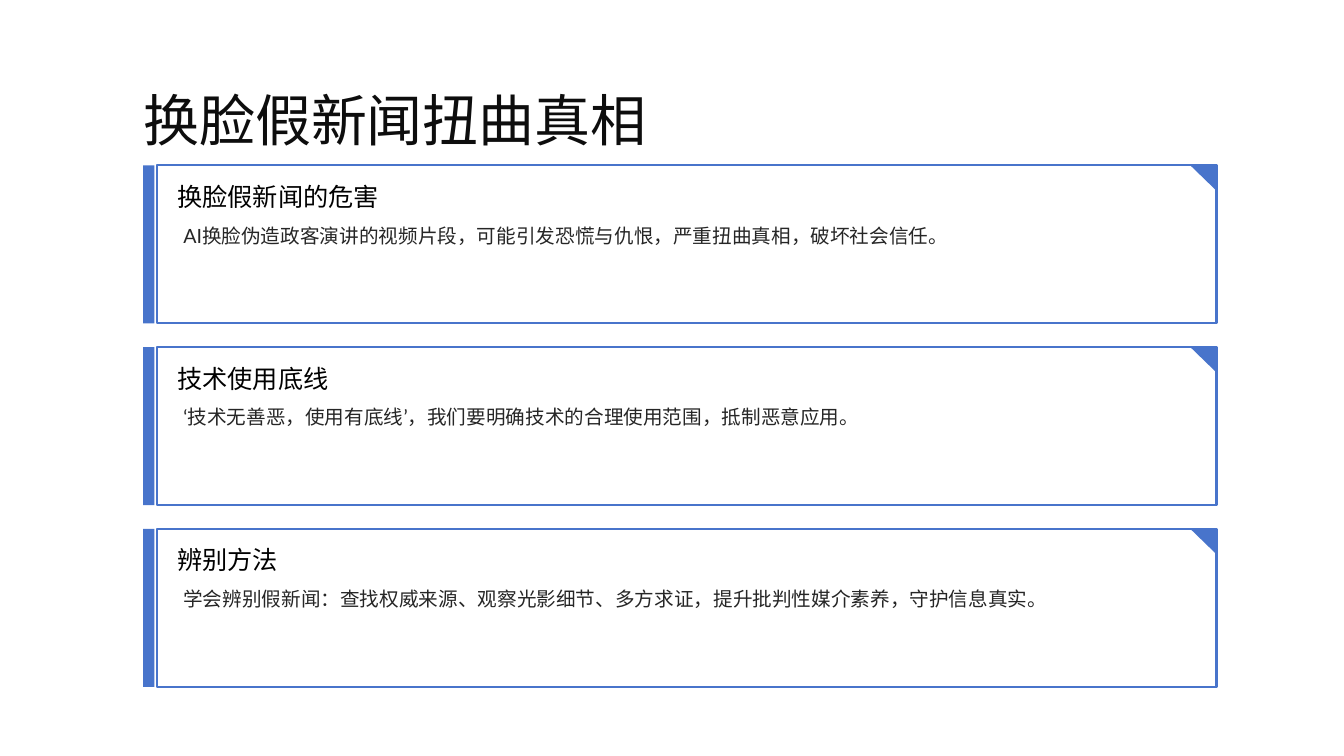
from lxml.etree import SubElement
from pptx import Presentation
from pptx.dml.color import RGBColor
from pptx.enum.lang import MSO_LANGUAGE_ID
from pptx.enum.shapes import MSO_SHAPE
from pptx.enum.text import MSO_AUTO_SIZE, PP_ALIGN
from pptx.oxml.ns import qn
from pptx.util import Cm, Pt

COLORS = {
    "accent": "4874CB",
    "paper": "FFFFFF",
    "title": "0D0D0D",
    "heading": "000000",
    "body": "262626",
}
CARDS = [
    ("换脸假新闻的危害",
     "AI换脸伪造政客演讲的视频片段，可能引发恐慌与仇恨，严重扭曲真相，破坏社会信任。"),
    ("技术使用底线",
     "‘技术无善恶，使用有底线’，我们要明确技术的合理使用范围，抵制恶意应用。"),
    ("辨别方法",
     "学会辨别假新闻：查找权威来源、观察光影细节、多方求证，提升批判性媒介素养，守护信息真实。"),
]
LEFT, RIGHT = 3.61, 30.66
FIRST_TOP, PITCH, CARD_HEIGHT = 4.17, 4.58, 3.98


def write(frame, text, size, color, font, align=None, spacing=None):
    paragraph = frame.paragraphs[0]
    paragraph.alignment = align
    paragraph.line_spacing = spacing
    run = paragraph.add_run()
    run.text = text
    run.font.size = Pt(size)
    run.font.color.rgb = RGBColor.from_string(COLORS[color])
    run.font.language_id = MSO_LANGUAGE_ID.SIMPLIFIED_CHINESE
    run.font.name = font
    SubElement(run.font._element, qn("a:ea"), typeface=font)


class Deck:
    font = "Lato"

    def __init__(self, slide):
        self.slide = slide

    def text(self, box, text, inset=True, **style):
        frame = self.slide.shapes.add_textbox(*map(Cm, box)).text_frame
        frame.word_wrap = True
        frame.auto_size = MSO_AUTO_SIZE.SHAPE_TO_FIT_TEXT
        if not inset:
            frame.margin_left = frame.margin_right = 0
            frame.margin_top = frame.margin_bottom = 0
        write(frame, text, font=self.font, **style)

    def shape(self, kind, box, fill, line=None, rotation=0):
        shape = self.slide.shapes.add_shape(kind, *map(Cm, box))
        shape.shadow.inherit = False
        shape.rotation = rotation
        shape.fill.solid()
        shape.fill.fore_color.rgb = RGBColor.from_string(COLORS[fill])
        if line:
            shape.line.color.rgb = RGBColor.from_string(COLORS[line])
            shape.line.width = Pt(1.5)
        else:
            shape.line.fill.background()

    def card(self, top, heading, body):
        frame_left = LEFT + 0.35
        corner_width = 0.66
        self.shape(MSO_SHAPE.RECTANGLE, (LEFT, top, 0.28, CARD_HEIGHT), "accent")
        self.shape(MSO_SHAPE.RECTANGLE,
                   (frame_left, top, RIGHT - frame_left, CARD_HEIGHT),
                   "paper", line="accent")
        self.shape(MSO_SHAPE.RIGHT_TRIANGLE,
                   (RIGHT - corner_width, top, corner_width, 0.64),
                   "accent", rotation=180)
        self.text((4.22, top + 0.27, 20.42, 0.76), heading,
                  size=18, color="heading")
        self.text((4.37, top + 1.04, 25.91, 0.89), body, size=14,
                  color="body", align=PP_ALIGN.JUSTIFY, spacing=1.5)


def main():
    presentation = Presentation()
    presentation.slide_width = Cm(33.87)
    presentation.slide_height = Cm(19.05)
    deck = Deck(presentation.slides.add_slide(presentation.slide_layouts[6]))
    deck.text((LEFT, 1.3, 29.11, 2.54), "换脸假新闻扭曲真相", inset=False,
              size=40, color="title", spacing=1.5)
    for row, (heading, body) in enumerate(CARDS):
        deck.card(FIRST_TOP + row * PITCH, heading, body)
    presentation.save("out.pptx")


if __name__ == "__main__":
    main()
